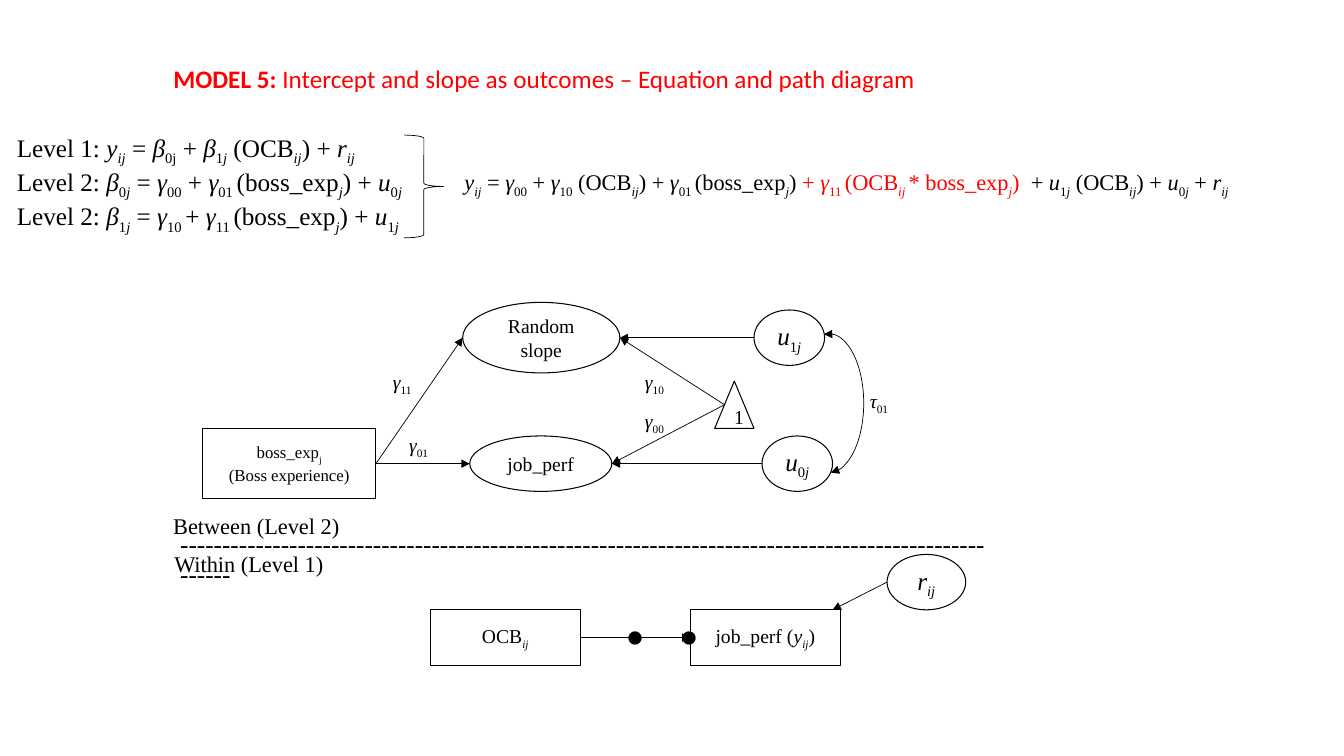
from lxml import etree
from pptx import Presentation
from pptx.dml.color import RGBColor
from pptx.enum import shapes as es, text as et
from pptx.oxml.ns import qn
from pptx.util import Pt

BLACK = RGBColor(0, 0, 0)
RED = RGBColor(255, 0, 0)
SERIF = "Times New Roman"
KIND = es.MSO_SHAPE

# Text marks: / switches italic, ~ subscript, ^ red, ` bold
TITLE = "`MODEL 5: `Intercept and slope as outcomes – Equation and path diagram"
LEVELS = [
    "Level 1: /y~ij~/ = /β/~0j~ + /β/~1/j/~ (OCB/~ij~/) + /r~ij~/",
    "Level 2: /β/~0/j/~ = /γ/~00~ + /γ/~01 ~(boss_exp/~j~/) + /u/~0/j/~",
    "Level 2: /β/~1/j/~ = /γ/~10 ~+ /γ/~11 ~(boss_exp/~j~/) + /u/~1/j/~",
]
MIXED = ("/y~ij~/ = /γ/~00~ + /γ/~10~ (OCB/~ij~/) + /γ/~01 ~(boss_exp/~j~/)"
         "^ + /γ/~11 ~(OCB/~ij ~/* boss_exp/~j~/)  ^"
         "+ /u/~1/j/~ (OCB/~ij~/) + /u/~0/j/~ + /r~ij~/")

# Text boxes: lines, left, top, width, height, size, wrap
BOXES = [
    (LEVELS, 5, 90.7, 319.7, 72.7, 18, True),
    ([MIXED], 324.7, 116.6, 609.1, 26.6, 16, True),
    (["-" * 102], 121.7, 373.7, 590.4, 51.1, 18, True),
    (["Between (Level 2)"], 116.6, 362.2, 137.5, 26.6, 16, False),
    (["Within (Level 1)"], 117.4, 389.5, 127.4, 26.6, 16, False),
    (["."], 437, 375.8, 34.6, 104.4, 80, True),
    (["."], 475.2, 375.8, 34.6, 104.4, 80, True),
    (["/γ/~11~"], 273.6, 260.6, 30.2, 24.5, 14, True),
    (["/γ/~01~"], 285.1, 306, 30.2, 24.5, 14, False),
    (["/γ/~10~"], 453.6, 260.6, 29.5, 24.5, 14, False),
    (["/γ/~00~"], 453.6, 288.7, 29.5, 24.5, 14, False),
    (["/τ/~01~"], 614.2, 274.3, 28.8, 24.5, 14, False),
]

# Nodes: kind, left, top, width, height, size, lines
NODES = {
    "boss": (KIND.RECTANGLE, 144.7, 306, 123.8, 50.4, 12,
             ["boss_exp~j~", "(Boss experience)"]),
    "slope": (KIND.OVAL, 330.5, 216, 112.3, 50.4, 14, ["Random slope"]),
    "perf": (KIND.OVAL, 335.5, 311.4, 101.5, 39.6, 14, ["job_perf"]),
    "u1": (KIND.OVAL, 538.6, 221.4, 50.4, 39.6, 18, ["/u/~1/j/~"]),
    "u0": (KIND.OVAL, 544.3, 311.4, 50.4, 39.6, 18, ["/u/~0/j/~"]),
    "one": (KIND.ISOSCELES_TRIANGLE, 510.5, 272.2, 28.1, 33.8, 14, ["1"]),
    "r": (KIND.OVAL, 633.6, 396, 56.2, 39.6, 18, ["/r~ij~/"]),
    "ocb": (KIND.RECTANGLE, 307.4, 435.6, 107, 39.6, 14, ["OCB/~ij~/"]),
    "y": (KIND.RECTANGLE, 493.2, 435.6, 107, 39.6, 14,
          ["job_perf (/y~ij~/)"]),
}

# Arrows: node, share of its width, node, share of its width (at mid height)
ARROWS = [
    ("boss", 1, "slope", 0), ("boss", 1, "perf", 0),
    ("u1", 0, "slope", 1), ("u0", 0, "perf", 1),
    ("one", 0.25, "slope", 1), ("one", 0.25, "perf", 1),
    ("ocb", 1, "y", 0),
]


def write(frame, lines, size, font=SERIF, color=BLACK, align=None):
    """Fill a text frame, switching run format at each mark."""
    for num, line in enumerate(lines):
        par = frame.paragraphs[0] if num == 0 else frame.add_paragraph()
        par.alignment = align
        on = dict.fromkeys("/~^`", False)
        part = ""
        for sign in line + "\n":
            if sign not in on and sign != "\n":
                part += sign
                continue
            if part:
                run = par.add_run()
                run.text = part
                face = run.font
                face.name, face.size = font, Pt(size)
                face.italic, face.bold = on["/"], on["`"]
                face.color.rgb = RED if on["^"] else color
                if on["~"]:
                    face._element.set("baseline", "-25000")
                part = ""
            if sign in on:
                on[sign] = not on[sign]


def stroke(item, width, ends=()):
    """Black line without shadow, with triangles at the named ends."""
    item.line.color.rgb = BLACK
    item.line.width = Pt(width)
    for end in ends:
        etree.SubElement(item.line._get_or_add_ln(), qn("a:" + end),
                         type="triangle")


def shape(kind, *box, width=0.75, ends=()):
    item = slide.shapes.add_shape(kind, *map(Pt, box))
    item.shadow.inherit = False
    item.fill.background()
    stroke(item, width, ends)
    return item


def arrow(*ends):
    item = slide.shapes.add_connector(es.MSO_CONNECTOR.STRAIGHT,
                                      *map(Pt, ends))
    stroke(item, 0.5, ["tailEnd"])
    etree.SubElement(item._element.spPr, qn("a:effectLst"))
    return item


def point(name, share):
    left, top, wide, high = NODES[name][1:5]
    return left + share * wide, top + high / 2


deck = Presentation()
deck.slide_width, deck.slide_height = Pt(960), Pt(540)
slide = deck.slides.add_slide(deck.slide_layouts[5])

# Title
title = slide.shapes.title
title.left, title.top, title.width, title.height = map(
    Pt, (116.6, 41.8, 703.4, 29))
title.text_frame.vertical_anchor = et.MSO_ANCHOR.TOP
write(title.text_frame, [TITLE], 18, font="Calibri", color=RED,
      align=et.PP_ALIGN.LEFT)

# Equations and labels
for lines, left, top, wide, high, size, wrap in BOXES:
    frame = slide.shapes.add_textbox(
        *map(Pt, (left, top, wide, high))).text_frame
    frame.word_wrap = wrap
    frame.auto_size = et.MSO_AUTO_SIZE.SHAPE_TO_FIT_TEXT
    write(frame, lines, size)

# Brace beside the equations
shape(KIND.RIGHT_BRACE, 288.7, 96.5, 28.1, 73.4, width=0.5)

# Nodes
drawn = {}
for name, (kind, *box, size, lines) in NODES.items():
    node = drawn[name] = shape(kind, *box)
    node.text_frame.word_wrap = True
    node.text_frame.vertical_anchor = et.MSO_ANCHOR.MIDDLE
    write(node.text_frame, lines, size, align=et.PP_ALIGN.CENTER)

# Arrows, joined where they meet a rectangle
for start, out, goal, into in ARROWS:
    line = arrow(*point(start, out), *point(goal, into))
    if NODES[start][0] == KIND.RECTANGLE:
        line.begin_connect(drawn[start], 3)
    if NODES[goal][0] == KIND.RECTANGLE:
        line.end_connect(drawn[goal], 1)
arrow(*point("r", 0), 594.7, 435.6)

# Covariance arc between the two residuals
arc = shape(KIND.ARC, 566.6, 238.3, 50.4, 99.4, width=0.5,
            ends=["headEnd", "tailEnd"])
arc.adjustments[0], arc.adjustments[1] = 159.75, 52.8

deck.save("out.pptx")
